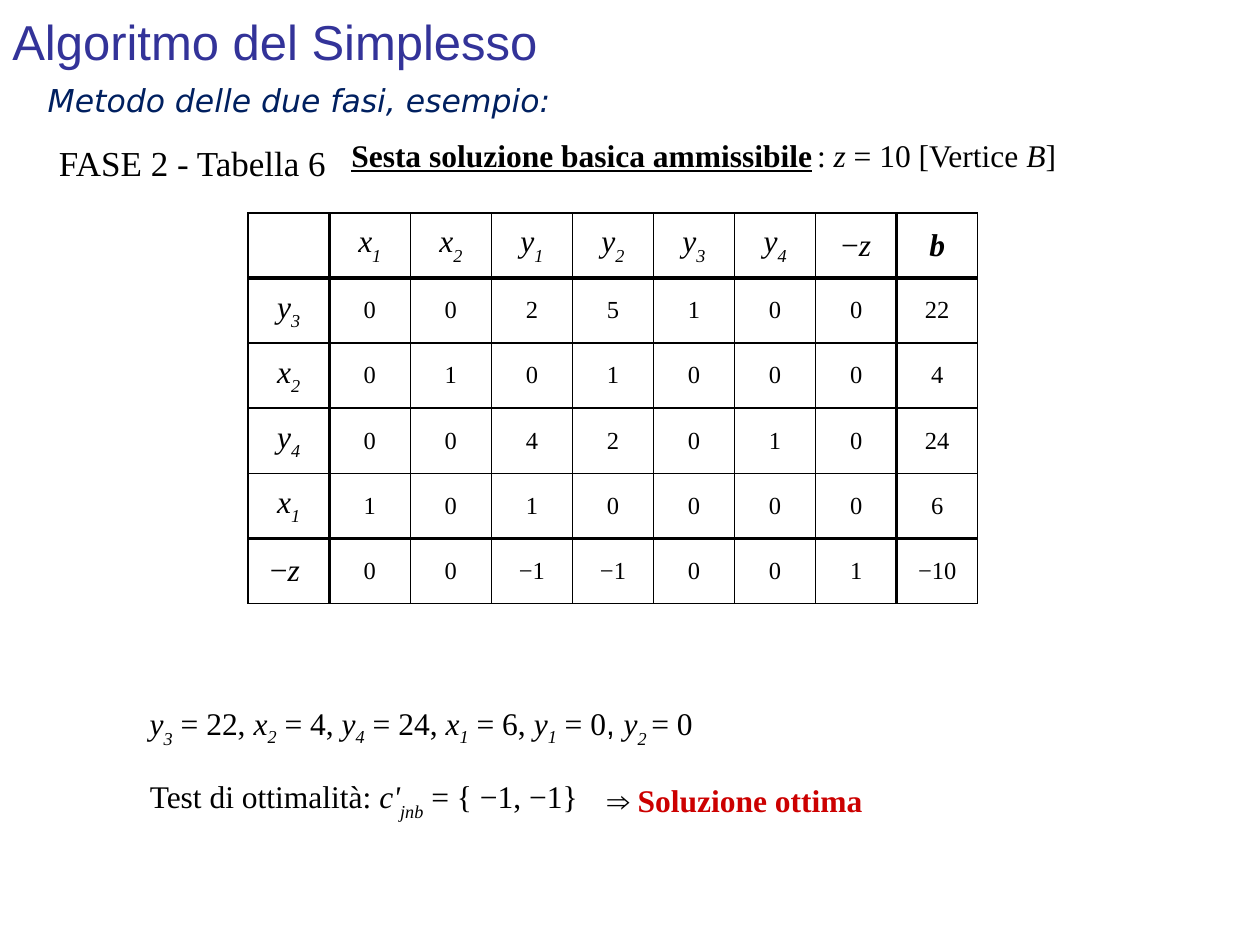
from pptx import Presentation
from pptx.dml.color import RGBColor
from pptx.enum.text import MSO_ANCHOR, PP_ALIGN
from pptx.oxml import parse_xml
from pptx.oxml.ns import nsdecls
from pptx.util import Inches, Pt

MIDDLE, TOP = MSO_ANCHOR.MIDDLE, MSO_ANCHOR.TOP
LEFT, CENTER, JUSTIFY = PP_ALIGN.LEFT, PP_ALIGN.CENTER, PP_ALIGN.JUSTIFY
HUES = {"ink": "000000", "title": "333399", "sub": "002060", "red": "CC0000"}
SERIF, SANS, VERA = "Times New Roman", "Arial", "DejaVu Sans"
COLS, ROWS = 100, 75
THIN, THICK = 1, 2.25
DROPS = {"s": "-30000", "t": "-25000"}


def var(name, drop="s"):
    """Split a name such as y3 into an italic letter and its lowered index."""
    return [(name[0], "i"), (name[1:], "i" + drop)]


class Deck:
    def __init__(self):
        self.prs = Presentation()
        self.prs.slide_width, self.prs.slide_height = Inches(10), Inches(7.5)
        self.slide = self.prs.slides.add_slide(self.prs.slide_layouts[6])

    def place(self, col, row, wide, high):
        dx, dy = self.prs.slide_width / COLS, self.prs.slide_height / ROWS
        return [round(n) for n in (col * dx, row * dy, wide * dx, high * dy)]

    def typeset(self, para, runs, size=18, face=SERIF, hue="ink", align=LEFT):
        """Fill a paragraph; flags: i, b, u, s/t lowered, r red, a sans."""
        para.alignment = align
        font = para.font
        font.size, font.name = Pt(size), face
        font.color.rgb = RGBColor.from_string(HUES[hue])
        font.italic = all("i" in flags for _, flags in runs)
        for words, flags in runs:
            run = para.add_run()
            run.text = words
            if not font.italic:
                run.font.italic = "i" in flags
            if "b" in flags:
                run.font.bold = True
            if "u" in flags:
                run.font.underline = True
            if "a" in flags:
                run.font.name = SANS
            if "r" in flags:
                run.font.color.rgb = RGBColor.from_string(HUES["red"])
            for flag, drop in DROPS.items():
                if flag in flags:
                    run.font._element.set("baseline", drop)

    def text(self, spot, runs, anchor=TOP, **style):
        frame = self.slide.shapes.add_textbox(*self.place(*spot)).text_frame
        frame.word_wrap = True
        frame.vertical_anchor = anchor
        self.typeset(frame.paragraphs[0], runs, **style)

    def edge(self, cell, side, width):
        cell._tc.get_or_add_tcPr().append(parse_xml(
            f'<a:ln{side} {nsdecls("a")} w="{Pt(width)}"><a:solidFill>'
            f'<a:srgbClr val="{HUES["ink"]}"/></a:solidFill></a:ln{side}>'))

    def table(self, spot, rows, bars, rules):
        """Draw rows of runs; bars and rules are the thick line numbers."""
        shape = self.slide.shapes.add_table(
            len(rows), len(rows[0]), *self.place(*spot))
        grid = shape.table
        grid.first_row = grid.horz_banding = False
        for i, row in enumerate(rows):
            for j, runs in enumerate(row):
                cell = grid.cell(i, j)
                cell.vertical_anchor = MIDDLE
                lines = (("L", j, bars), ("R", j + 1, bars),
                         ("T", i, rules), ("B", i + 1, rules))
                for side, line, thick in lines:
                    self.edge(cell, side, THICK if line in thick else THIN)
                cell.fill.background()
                size = 14 if i and j else 18
                self.typeset(cell.text_frame.paragraphs[0], runs, size,
                             align=CENTER)


def main():
    deck = Deck()
    deck.text((10.9, 61.2, 46.8, 4), [
        ("Test di ottimalità: ", ""), ("c'", "i"), ("jnb", "is"),
        (" = { −1, −1}", "")], align=JUSTIFY)

    deck.text((10.9, 55.4, 79, 5), [
        *var("y3"), (" = 22, ", ""), *var("x2", "t"), (" = 4, ", ""),
        *var("y4", "t"), (" = 24, ", ""), *var("x1", "t"), (" = 6, ", ""),
        *var("y1", "t"), (" = 0", ""), (", ", "a"), *var("y2 "), ("= 0", "")],
        align=JUSTIFY)

    deck.text((26.9, 10.3, 63, 5), [
        ("Sesta soluzione basica ammissibile", "bu"), (" ", "is"), (": ", ""),
        ("z", "i"), (" = 10 [Vertice ", ""), ("B", "i"), ("]", "")],
        align=JUSTIFY)

    deck.text((47.2, 61.5, 33.9, 4), [("⇒ ", ""), ("Soluzione ottima", "br")])

    names = ["x1", "x2", "y1", "y2", "y3", "y4"]
    head = [[], *map(var, names), [("−", ""), ("z", "i")], [("b", "bi")]]
    body = [
        (var("y3"), "0 0 2 5 1 0 0 22"),
        (var("x2"), "0 1 0 1 0 0 0 4"),
        (var("y4"), "0 0 4 2 0 1 0 24"),
        (var("x1"), "1 0 1 0 0 0 0 6"),
        ([("−", ""), ("z ", "i")], "0 0 −1 −1 0 0 1 −10"),
    ]
    rows = [head] + [
        [base] + [[(num, "")] for num in nums.split()] for base, nums in body]
    deck.table((19.7, 16.9, 57.9, 31), rows, bars=(1, 8), rules=(1, 5))

    deck.text((3.7, 10.7, 39.7, 4.3), [("FASE 2 - Tabella 6", "")], size=20)
    deck.text((0, -0.3, 90, 7.1), [("Algoritmo del Simplesso", "")],
              anchor=MIDDLE, size=28, face=SANS, hue="title")
    deck.text((2.8, 5.9, 85.2, 4), [("Metodo delle due fasi, esempio:", "i")],
              face=VERA, hue="sub")
    deck.prs.save("out.pptx")


if __name__ == "__main__":
    main()
